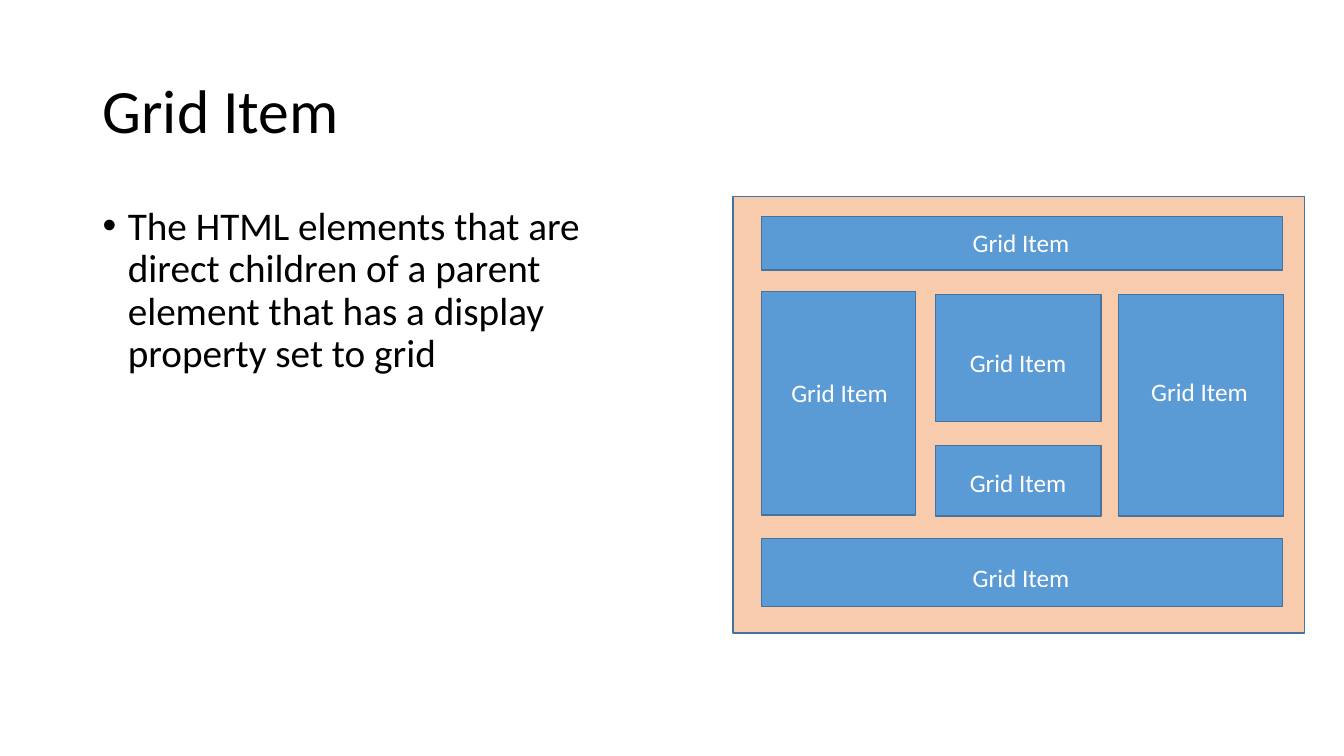
"""Builds the Grid Item slide."""
from dataclasses import dataclass

from lxml import etree
from pptx import Presentation
from pptx.dml.color import RGBColor
from pptx.enum.shapes import MSO_SHAPE
from pptx.enum.text import MSO_ANCHOR
from pptx.oxml.ns import qn
from pptx.util import Inches, Pt

RECT = MSO_SHAPE.RECTANGLE
TOP = MSO_ANCHOR.TOP
MID = MSO_ANCHOR.MIDDLE


@dataclass(frozen=True)
class Theme:
    """Holds the font, colours and type sizes."""
    font: str = "Calibri"
    ink: str = "000000"
    pale: str = "FFFFFF"
    panel: str = "F8CBAD"
    item: str = "5B9BD5"
    edge: str = "43739E"
    head: int = 44
    body: int = 28
    label: int = 18


class Board:
    """Draws on one slide, with lengths in percent of its size."""

    def __init__(self, deck, theme):
        """Adds a blank slide to the deck."""
        self.deck = deck
        self.theme = theme
        self.slide = deck.slides.add_slide(deck.slide_layouts[6])

    def place(self, box):
        """Turns percent shares into slide lengths."""
        wide, high = self.deck.slide_width, self.deck.slide_height
        return [round(part * full / 100)
                for part, full in zip(box, (wide, high, wide, high))]

    def block(self, box, fill):
        """Draws a filled and outlined rectangle."""
        shape = self.slide.shapes.add_shape(RECT, *self.place(box))
        shape.shadow.inherit = False
        shape.fill.solid()
        shape.fill.fore_color.rgb = RGBColor.from_string(fill)
        shape.line.color.rgb = RGBColor.from_string(self.theme.edge)
        shape.line.width = Pt(1)

    def text(self, box, words, size, ink, anchor=TOP, lead=1.0):
        """Draws a text box and returns its paragraph."""
        frame = self.slide.shapes.add_textbox(*self.place(box)).text_frame
        frame.word_wrap = True
        frame.vertical_anchor = anchor
        frame.text = words
        para = frame.paragraphs[0]
        para.line_spacing = lead
        font = para.runs[0].font
        font.name = self.theme.font
        font.size = Pt(size)
        font.color.rgb = RGBColor.from_string(ink)
        return para

    def bullet(self, box, words):
        """Draws a bulleted body paragraph."""
        para = self.text(box, words, self.theme.body, self.theme.ink, lead=0.9)
        para.space_before = Pt(10)
        props = para._p.get_or_add_pPr()
        props.set("marL", str(Inches(0.25)))
        props.set("indent", str(-Inches(0.25)))
        etree.SubElement(props, qn("a:buFont")).set("typeface", "Arial")
        etree.SubElement(props, qn("a:buChar")).set("char", "•")


TITLE = (6.9, 5.33, 86.27, 19.33)
BODY = (6.9, 26.67, 44.34, 27.87)
PANEL = (54.54, 26, 42.54, 57.73)
ITEMS = [
    (56.64, 28.67, 38.78, 7.07),
    (56.64, 38.53, 11.48, 29.6),
    (69.62, 38.93, 12.3, 16.8),
    (69.62, 58.93, 12.3, 9.33),
    (83.2, 38.93, 12.3, 29.33),
    (56.64, 71.2, 38.78, 9.07),
]
LABELS = [
    (71.64, 29.47),
    (58.14, 49.2),
    (71.42, 45.33),
    (71.42, 61.2),
    (84.92, 49.07),
    (71.64, 73.73),
]
SPAN = (13.28, 5.33)


def main():
    """Builds and saves the deck."""
    deck = Presentation()
    deck.slide_width = Inches(13.33)
    deck.slide_height = Inches(7.5)
    theme = Theme()
    board = Board(deck, theme)
    name = "Grid Item"
    board.text(TITLE, name, theme.head, theme.ink, MID, 0.9)
    board.bullet(BODY, "The HTML elements that are direct children of a "
                       "parent element that has a display property set to grid")
    board.block(PANEL, theme.panel)
    for box in ITEMS:
        board.block(box, theme.item)
    for spot in LABELS:
        board.text(spot + SPAN, name, theme.label, theme.pale)
    deck.save("out.pptx")


if __name__ == "__main__":
    main()
